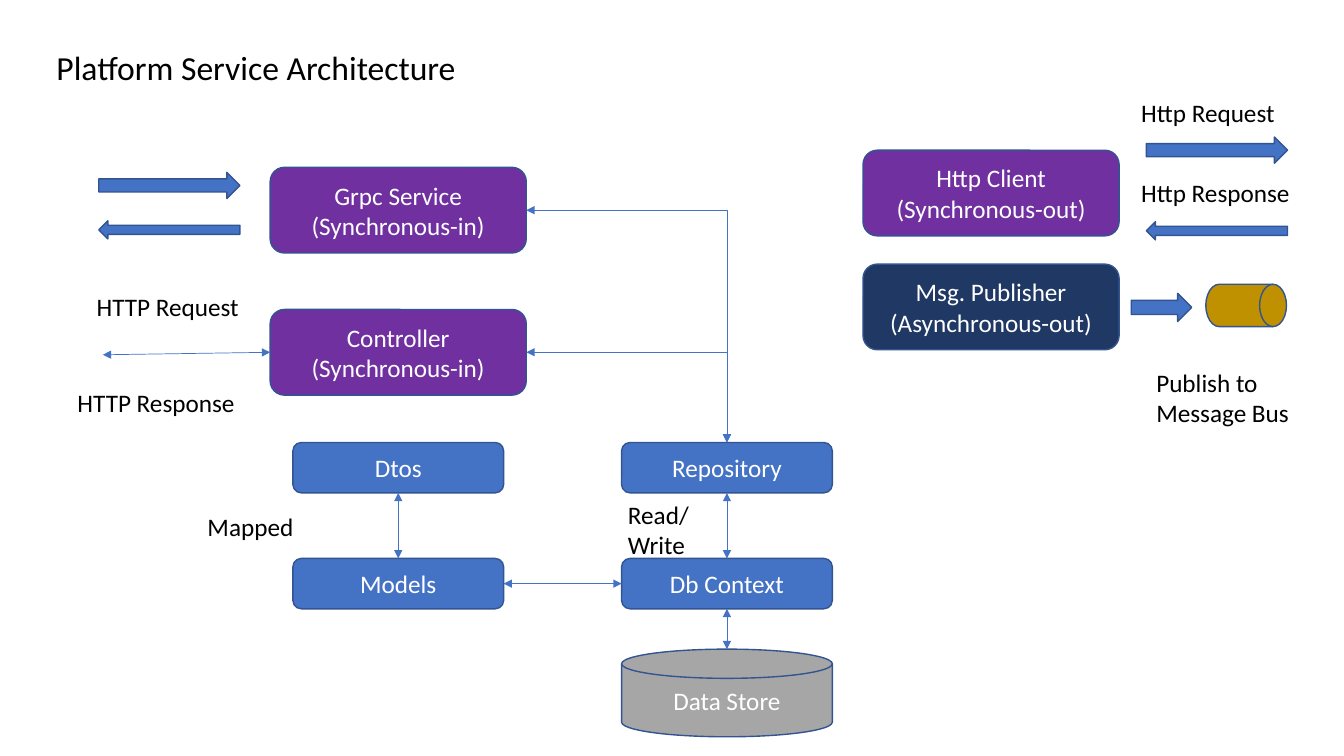
"""Build the platform service architecture slide."""
from lxml import etree
from pptx import Presentation
from pptx.dml.color import RGBColor
from pptx.enum.shapes import MSO_CONNECTOR, MSO_SHAPE
from pptx.enum.text import MSO_ANCHOR, MSO_AUTO_SIZE, PP_ALIGN
from pptx.oxml.ns import qn
from pptx.util import Inches, Pt

STRAIGHT, ELBOW = MSO_CONNECTOR.STRAIGHT, MSO_CONNECTOR.ELBOW
ROUNDED, DISK = MSO_SHAPE.ROUNDED_RECTANGLE, MSO_SHAPE.FLOWCHART_MAGNETIC_DISK
DRUM = MSO_SHAPE.FLOWCHART_DIRECT_ACCESS_STORAGE
RIGHT, LEFT = MSO_SHAPE.RIGHT_ARROW, MSO_SHAPE.LEFT_ARROW
TOP, MIDDLE = MSO_ANCHOR.TOP, MSO_ANCHOR.MIDDLE
START, CENTER = PP_ALIGN.LEFT, PP_ALIGN.CENTER
FIXED = MSO_AUTO_SIZE.NONE

BLUE, OUTLINE, PURPLE, NAVY = "4472C4", "325491", "7030A0", "203864"
GRAY, GOLD, WHITE, BLACK = "A6A6A6", "BF9000", "FFFFFF", "000000"
SITE_TOP, SITE_LEFT, SITE_BOTTOM, SITE_RIGHT = range(4)

MODEL_COLUMN, DATA_COLUMN = 3.95, 7.21
OUTBOUND_COLUMN = 9.83
INBOUND_EDGE, OUTBOUND_EDGE, BUS_EDGE = 0.98, 11.37, 11.22
DTO_ROW, CONTEXT_ROW, STORE_ROW = 4.39, 5.54, 6.44
ENDPOINT = (2.54, 0.85)
COMPONENT = (2.09, 0.5)

deck = Presentation()
deck.slide_width, deck.slide_height = Inches(13.33), Inches(7.5)
slide = deck.slides.add_slide(deck.slide_layouts[5])


def write(frame, words, size, color, align, anchor):
    frame.text = words
    frame.vertical_anchor = anchor
    for paragraph in frame.paragraphs:
        paragraph.alignment = align
        paragraph.font.name = "Calibri"
        paragraph.font.size = Pt(size)
        paragraph.font.color.rgb = RGBColor.from_string(color)


def add_block(kind, left, top, width, height, fill):
    block = slide.shapes.add_shape(kind, *map(Inches, (left, top, width, height)))
    block.shadow.inherit = False
    block.fill.solid()
    block.fill.fore_color.rgb = RGBColor.from_string(fill)
    block.line.color.rgb = RGBColor.from_string(OUTLINE)
    block.line.width = Pt(1)
    return block


heading = slide.shapes.title
heading.left, heading.top, heading.width, heading.height = map(
    Inches, (0.46, 0.42, 5.84, 0.5))
write(heading.text_frame, "Platform Service Architecture", 24, BLACK, START, TOP)
heading.text_frame.auto_size = FIXED

parts = {}
for name, role, kind, center, top, (width, height), fill in (
    ("Grpc Service", "(Synchronous-in)", ROUNDED, MODEL_COLUMN, 1.66, ENDPOINT, PURPLE),
    ("Controller", "(Synchronous-in)", ROUNDED, MODEL_COLUMN, 3.07, ENDPOINT, PURPLE),
    ("Http Client", "(Synchronous-out)", ROUNDED, OUTBOUND_COLUMN, 1.49, ENDPOINT, PURPLE),
    ("Msg. Publisher", "(Asynchronous-out)", ROUNDED, OUTBOUND_COLUMN, 2.62, ENDPOINT, NAVY),
    ("Dtos", "", ROUNDED, MODEL_COLUMN, DTO_ROW, COMPONENT, BLUE),
    ("Models", "", ROUNDED, MODEL_COLUMN, CONTEXT_ROW, COMPONENT, BLUE),
    ("Repository", "", ROUNDED, DATA_COLUMN, DTO_ROW, COMPONENT, BLUE),
    ("Db Context", "", ROUNDED, DATA_COLUMN, CONTEXT_ROW, COMPONENT, BLUE),
    ("Data Store", "", DISK, DATA_COLUMN, STORE_ROW, (COMPONENT[0], 0.87), GRAY),
):
    parts[name] = add_block(kind, center - width / 2, top, width, height, fill)
    words = f"{name}\n{role}" if role else name
    write(parts[name].text_frame, words, 18, WHITE, CENTER, MIDDLE)

for kind, left, top, width, height, fill in (
    (RIGHT, INBOUND_EDGE, 1.71, 1.4, 0.26, BLUE),
    (LEFT, INBOUND_EDGE, 2.19, 1.4, 0.18, BLUE),
    (RIGHT, OUTBOUND_EDGE, 1.36, 1.4, 0.26, BLUE),
    (LEFT, OUTBOUND_EDGE, 2.2, 1.4, 0.18, BLUE),
    (RIGHT, BUS_EDGE, 2.91, 0.6, 0.28, BLUE),
    (DRUM, 11.96, 2.82, 0.8, 0.42, GOLD),
):
    add_block(kind, left, top, width, height, fill)

for words, left, top, width, height in (
    ("HTTP Request", 0.86, 2.84, 1.63, 0.4),
    ("HTTP Response", 0.67, 3.79, 1.78, 0.4),
    ("Mapped", 1.96, 5.02, 1.06, 0.4),
    ("Read/\nWrite", 6.13, 4.9, 0.81, 0.71),
    ("Http Request", BUS_EDGE, 0.92, 1.55, 0.4),
    ("Http Response", BUS_EDGE, 1.71, 1.7, 0.4),
    ("Publish to\nMessage Bus", OUTBOUND_EDGE, 3.59, 1.53, 0.71),
):
    label = slide.shapes.add_textbox(*map(Inches, (left, top, width, height)))
    label.text_frame.word_wrap = False
    write(label.text_frame, words, 18, BLACK, START, TOP)

caller = (Inches(1.02), Inches(3.52))
store_top = (Inches(DATA_COLUMN), Inches(STORE_ROW))
for route, source, source_site, target, target_site in (
    (STRAIGHT, "Models", SITE_RIGHT, "Db Context", SITE_LEFT),
    (STRAIGHT, "Dtos", SITE_BOTTOM, "Models", SITE_TOP),
    (STRAIGHT, "Db Context", SITE_TOP, "Repository", SITE_BOTTOM),
    (STRAIGHT, "Db Context", SITE_BOTTOM, store_top, None),
    (STRAIGHT, "Controller", SITE_LEFT, caller, None),
    (ELBOW, "Controller", SITE_RIGHT, "Repository", SITE_TOP),
    (ELBOW, "Grpc Service", SITE_RIGHT, "Repository", SITE_TOP),
):
    end = (0, 0) if target in parts else target
    link = slide.shapes.add_connector(route, 0, 0, *end)
    link.begin_connect(parts[source], source_site)
    if target in parts:
        link.end_connect(parts[target], target_site)
    link.line.color.rgb = RGBColor.from_string(BLUE)
    link.line.width = Pt(0.5)
    properties = link._element.spPr
    if route == ELBOW:
        properties.find(qn("a:prstGeom")).set("prst", "bentConnector2")
    stroke = properties.find(qn("a:ln"))
    for tip in ("a:headEnd", "a:tailEnd"):
        etree.SubElement(stroke, qn(tip), type="triangle")
    etree.SubElement(properties, qn("a:effectLst"))

deck.save("out.pptx")
